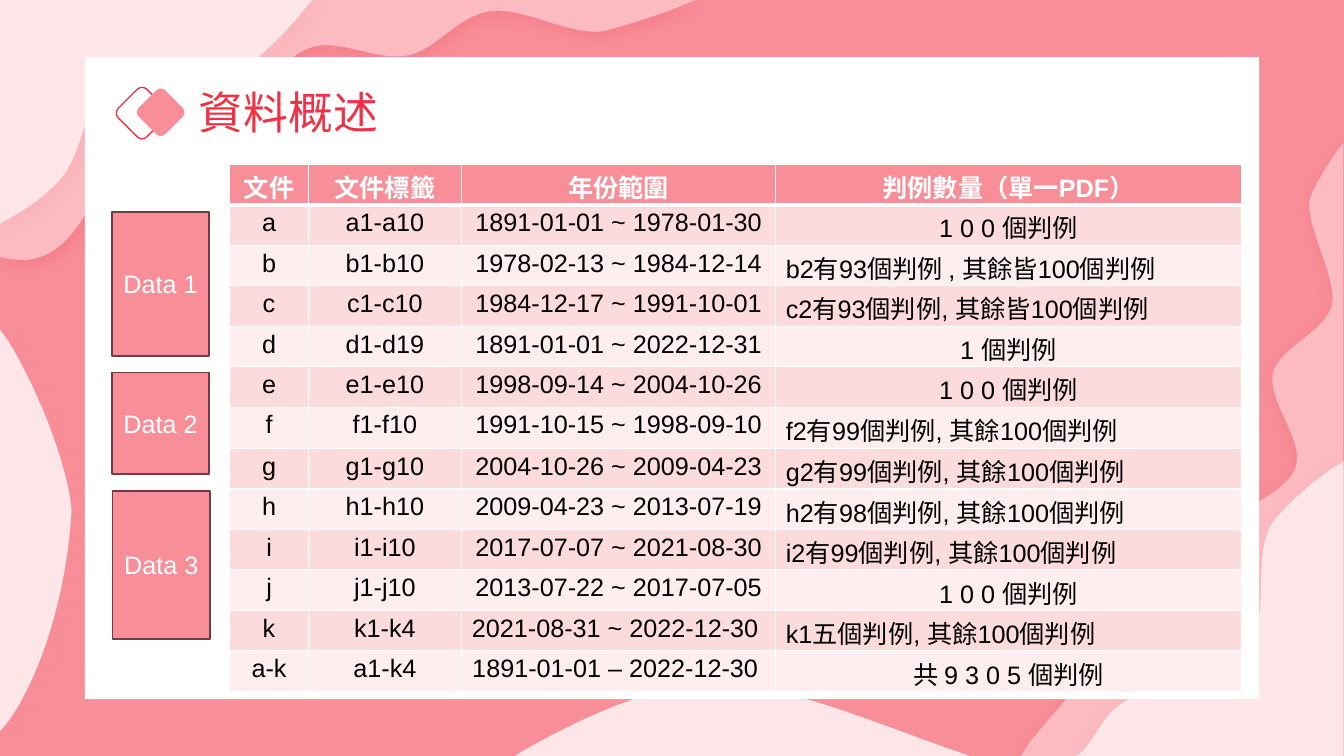
"""Build the data overview slide: wavy backdrop, case table and three data group blocks."""
import pptx
import pptx.dml.color
import pptx.enum.shapes
import pptx.enum.text
import pptx.oxml
import pptx.oxml.ns
import pptx.util

Cm = pptx.util.Cm
SHAPE = pptx.enum.shapes.MSO_SHAPE
ALIGN = pptx.enum.text.PP_ALIGN
MIDDLE = pptx.enum.text.MSO_ANCHOR.MIDDLE
NAMESPACE = pptx.oxml.ns.nsdecls("a")
PINK, RED, WHITE, BLACK = "F88E98", "F23244", "FFFFFF", "000000"
BLUSH, PALE, BROWN = "FBBBC1", "FEE6E8", "6D3E43"
BANDS = ("FCDBDD", "FEEEEF")
HAN_FONT = "Noto Sans CJK SC"

TITLE = "資料概述"
HEADER = ("文件", "文件標籤", "年份範圍", "判例數量（單一PDF）")
ROWS = (
    ("a", "a1-a10", "1891-01-01 ~ 1978-01-30", "1 0 0 個判例"),
    ("b", "b1-b10", "1978-02-13 ~ 1984-12-14", "b2有93個判例 , 其餘皆100個判例"),
    ("c", "c1-c10", "1984-12-17 ~ 1991-10-01", "c2有93個判例, 其餘皆100個判例"),
    ("d", "d1-d19", "1891-01-01 ~ 2022-12-31", "1 個判例"),
    ("e", "e1-e10", "1998-09-14 ~ 2004-10-26", "1 0 0 個判例"),
    ("f", "f1-f10", "1991-10-15 ~ 1998-09-10", "f2有99個判例, 其餘100個判例"),
    ("g", "g1-g10", "2004-10-26 ~ 2009-04-23", "g2有99個判例, 其餘100個判例"),
    ("h", "h1-h10", "2009-04-23 ~ 2013-07-19", "h2有98個判例, 其餘100個判例"),
    ("i", "i1-i10", "2017-07-07 ~ 2021-08-30", "i2有99個判例, 其餘100個判例"),
    ("j", "j1-j10", "2013-07-22 ~ 2017-07-05", "1 0 0 個判例"),
    ("k", "k1-k4", "2021-08-31 ~ 2022-12-30 ", "k1五個判例, 其餘100個判例"),
    ("a-k", "a1-k4", "1891-01-01 – 2022-12-30 ", "共 9 3 0 5 個判例"),
)
COLUMN_WIDTHS = (1.98, 3.86, 7.92, 11.73)
ROW_HEIGHT, TALL_ROW_HEIGHT, TALL_ROW = 1.02, 1.04, 6
GROUPS = (
    ("Data 1", 2.82, 5.34, 3.63),
    ("Data 2", 2.82, 9.38, 2.57),
    ("Data 3", 2.84, 12.37, 3.73),
)
GROUP_WIDTH = 2.45

WAVE_UNIT = Cm(2.54)
WAVES = (
    (BLUSH, RED, [[
        (13.33, 1.42), (13.33, 7.5), (10.13, 7.5), (10.22, 7.36),
        (10.37, 7.17, 10.54, 6.99, 10.63, 6.87), (10.88, 6.54, 11.35, 6.52, 11.57, 6.27),
        (11.8, 6.01, 11.77, 5.61, 11.98, 5.34), (12.2, 5.07, 12.74, 4.92, 12.85, 4.65),
        (12.96, 4.38, 12.57, 3.99, 12.63, 3.7), (12.7, 3.41, 13.26, 3.27, 13.22, 2.92),
        (13.19, 2.58, 12.9, 2.13, 13.02, 1.91), (13.06, 1.82, 13.18, 1.61, 13.32, 1.43)]]),
    (BLUSH, RED, [[
        (0, 0), (6.9, 0), (6.85, 0.02),
        (6.56, 0.15, 6.17, 0.26, 6.03, 0.3), (5.72, 0.39, 5.21, 0.07, 4.88, 0.11),
        (4.54, 0.15, 4.34, 0.49, 4.05, 0.55), (3.76, 0.61, 3.4, 0.4, 3.13, 0.46),
        (2.86, 0.52, 2.73, 0.79, 2.43, 0.93), (2.14, 1.06, 1.78, 0.98, 1.38, 1.25),
        (0.99, 1.52, 0.87, 2.75, 0.05, 2.56), (0, 2.55)]]),
    (PALE, PINK, [[
        (0, 0), (3.1, 0), (2.94, 0.19),
        (2.77, 0.39, 2.57, 0.57, 2.45, 0.66), (2.12, 0.9, 1.43, 0.61, 1.12, 0.81),
        (0.8, 1, 0.85, 1.57, 0.54, 1.84), (0.43, 1.95, 0.26, 2.08, 0.07, 2.18), (0, 2.22)]]),
    (PALE, PINK, [[
        (0, 3.27), (0.06, 3.35), (0.35, 3.8, 0.68, 4.61, 0.71, 5.07),
        (0.65, 6.08, 0.3, 6.91, 0.03, 7.22), (0, 7.25)]]),
    (PALE, PINK, [
        [(7.07, 6.78), (7.83, 6.78, 8.79, 7.22, 9.51, 7.46), (9.62, 7.5), (5.11, 7.5),
         (5.17, 7.46), (5.73, 7.14, 6.35, 6.86, 6.87, 6.79),
         (6.94, 6.79, 7, 6.78, 7.07, 6.78)],
        [(13.33, 4.57), (13.33, 7.5), (10.68, 7.5), (10.71, 7.48),
         (10.88, 7.33, 10.93, 7.09, 11.16, 6.96), (11.52, 6.76, 12.13, 6.71, 12.38, 6.41),
         (12.63, 6.1, 12.39, 5.44, 12.66, 5.14), (12.79, 4.99, 13.06, 4.73, 13.33, 4.58)]]),
)


def color(value):
    return pptx.dml.color.RGBColor.from_string(value)


def write(frame, text, size=18, font="Arial", fill=WHITE, bold=False, align=ALIGN.CENTER):
    paragraph = frame.paragraphs[0]
    paragraph.alignment = align
    run = paragraph.add_run()
    run.text = text
    run.font.size = pptx.util.Pt(size)
    run.font.name = font
    run.font.bold = bold
    run.font.color.rgb = color(fill)
    latin = run._r.rPr.find(pptx.oxml.ns.qn("a:latin"))
    latin.addnext(pptx.oxml.parse_xml(f'<a:ea {NAMESPACE} typeface="{HAN_FONT}"/>'))


def paint(shape, fill=None, line=None):
    shape.shadow.inherit = False
    if fill:
        shape.fill.solid()
        shape.fill.fore_color.rgb = color(fill)
    else:
        shape.fill.background()
    if line:
        shape.line.color.rgb = color(line)
        shape.line.width = pptx.util.Pt(1)
    else:
        shape.line.fill.background()


def add_box(slide, kind, left, top, width, height, fill=None, line=None):
    shape = slide.shapes.add_shape(kind, Cm(left), Cm(top), Cm(width), Cm(height))
    paint(shape, fill, line)
    return shape


def bend(shape, steps):
    segments = list(shape.element.iter(pptx.oxml.ns.qn("a:lnTo")))
    for segment, step in zip(segments, steps):
        if len(step) == 6:
            points = "".join(
                f'<a:pt x="{round(x * WAVE_UNIT) - shape.left}" '
                f'y="{round(y * WAVE_UNIT) - shape.top}"/>'
                for x, y in zip(step[::2], step[1::2]))
            curve = pptx.oxml.parse_xml(f"<a:cubicBezTo {NAMESPACE}>{points}</a:cubicBezTo>")
            segment.getparent().replace(segment, curve)


def add_wave(slide, fill, shadow, contours):
    builder = None
    for contour in contours:
        ends = [(x * WAVE_UNIT, y * WAVE_UNIT) for *_, x, y in contour]
        if builder is None:
            builder = slide.shapes.build_freeform(*ends[0])
        else:
            builder.move_to(*ends[0])
        builder.add_line_segments(ends[1:], close=True)
    shape = builder.convert_to_shape()
    bend(shape, [step for contour in contours for step in contour[1:]])
    paint(shape, fill)
    effects = shape.element.spPr.find(pptx.oxml.ns.qn("a:effectLst"))
    effects.append(pptx.oxml.parse_xml(
        f'<a:outerShdw {NAMESPACE} blurRad="165100" dist="38100" dir="2700000">'
        f'<a:srgbClr val="{shadow}"><a:alpha val="20000"/></a:srgbClr></a:outerShdw>'))


def add_title(slide):
    title = slide.shapes.title
    title.element.getparent().append(title.element)
    title.left, title.top, title.width, title.height = Cm(4.76), Cm(2.02), Cm(5.03), Cm(1.6)
    frame = title.text_frame
    frame.word_wrap = False
    frame.vertical_anchor = MIDDLE
    write(frame, TITLE, size=32, font=HAN_FONT, fill=RED, align=ALIGN.LEFT)


def add_borders(cell, widths):
    properties = cell._tc.get_or_add_tcPr()
    for index, (side, points) in enumerate(widths.items()):
        properties.insert(index, pptx.oxml.parse_xml(
            f'<a:ln{side} {NAMESPACE} w="{pptx.util.Pt(points)}"><a:solidFill>'
            f'<a:srgbClr val="{WHITE}"/></a:solidFill></a:ln{side}>'))


def add_case_table(slide):
    heights = [TALL_ROW_HEIGHT if index == TALL_ROW else ROW_HEIGHT
               for index in range(len(ROWS) + 1)]
    table = slide.shapes.add_table(
        len(heights), len(HEADER), Cm(5.79), Cm(4.14),
        Cm(sum(COLUMN_WIDTHS)), Cm(sum(heights))).table
    for column, width in zip(table.columns, COLUMN_WIDTHS):
        column.width = Cm(width)
    for row_index, texts in enumerate((HEADER, *ROWS)):
        table.rows[row_index].height = Cm(heights[row_index])
        is_header = row_index == 0
        for column_index, text in enumerate(texts):
            cell = table.cell(row_index, column_index)
            cell.margin_top, cell.margin_bottom = Cm(0.1), Cm(0)
            cell.fill.solid()
            cell.fill.fore_color.rgb = color(PINK if is_header else BANDS[(row_index - 1) % 2])
            add_borders(cell, {"L": 1, "R": 1, "T": 3 if row_index == 1 else 1,
                               "B": 3 if is_header else 1})
            is_sentence = "其餘" in text
            write(cell.text_frame, text, fill=WHITE if is_header else BLACK, bold=is_header,
                  align=ALIGN.JUSTIFY if is_sentence else ALIGN.CENTER)


def main():
    presentation = pptx.Presentation()
    presentation.slide_width, presentation.slide_height = Cm(33.87), Cm(19.05)
    slide = presentation.slides.add_slide(presentation.slide_layouts[5])
    slide.background.fill.solid()
    slide.background.fill.fore_color.rgb = color(PINK)
    for wave in WAVES:
        add_wave(slide, *wave)
    add_box(slide, SHAPE.RECTANGLE, 2.14, 1.44, 29.59, 16.18, fill=WHITE)
    add_box(slide, SHAPE.ROUNDED_RECTANGLE, 3.07, 2.34, 1.02, 1.02, line=RED).rotation = 45
    add_box(slide, SHAPE.ROUNDED_RECTANGLE, 3.58, 2.36, 0.94, 0.94, fill=PINK).rotation = 45
    add_title(slide)
    add_case_table(slide)
    for name, left, top, height in GROUPS:
        block = add_box(slide, SHAPE.RECTANGLE, left, top, GROUP_WIDTH, height, PINK, BROWN)
        block.text_frame.vertical_anchor = MIDDLE
        write(block.text_frame, name)
    presentation.save("out.pptx")


if __name__ == "__main__":
    main()
